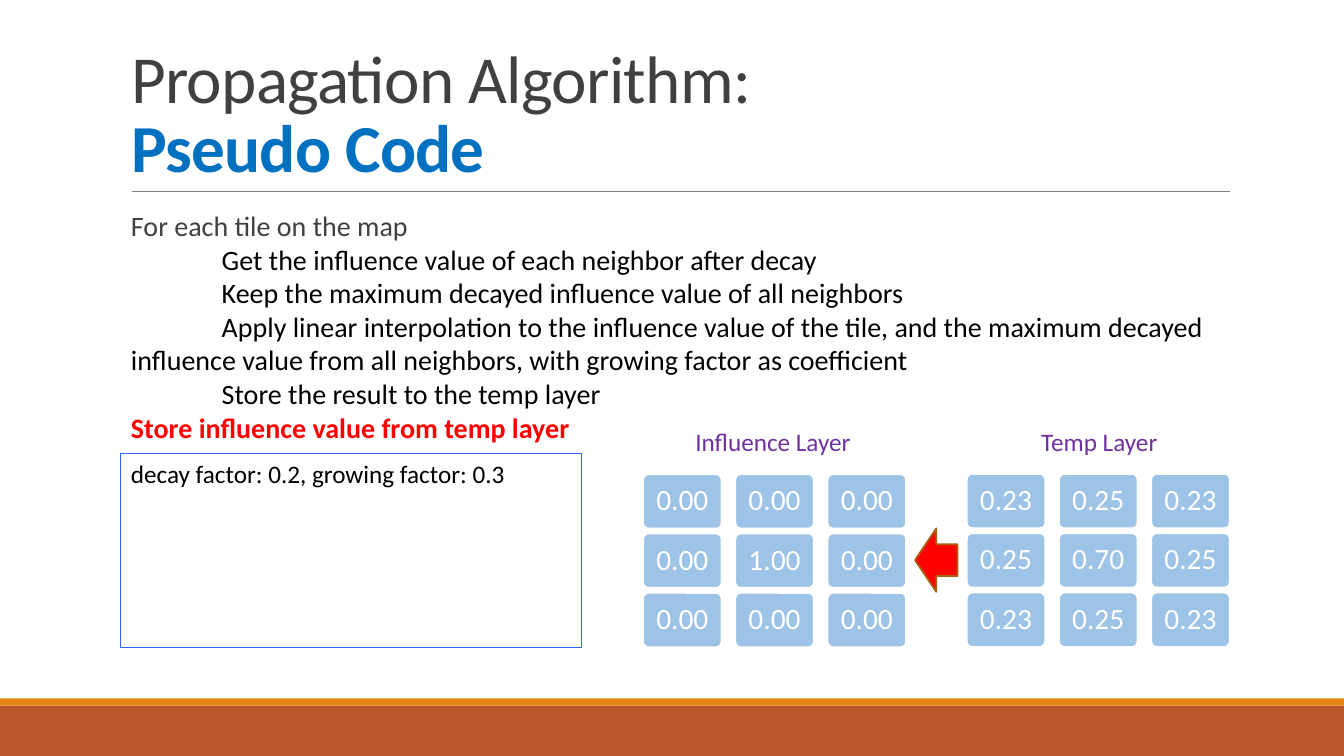
from lxml import etree
from pptx import Presentation
from pptx.dml import color
from pptx.enum import shapes, text
from pptx.oxml import ns
from pptx.util import Pt

RGBColor = color.RGBColor
GRAY = RGBColor(0x40, 0x40, 0x40)
RULE_GRAY = RGBColor(0x80, 0x80, 0x80)
BLACK = RGBColor(0x00, 0x00, 0x00)
WHITE = RGBColor(0xFF, 0xFF, 0xFF)
BLUE = RGBColor(0x00, 0x70, 0xC0)
FRAME_BLUE = RGBColor(0x33, 0x66, 0xFF)
TILE_BLUE = RGBColor(0x9D, 0xC3, 0xE6)
PURPLE = RGBColor(0x70, 0x30, 0xA0)
RED = RGBColor(0xFF, 0x00, 0x00)
BROWN = RGBColor(0xA9, 0x61, 0x0D)
ORANGE = RGBColor(0xE4, 0x83, 0x12)
RUST = RGBColor(0xBD, 0x58, 0x2C)

STEPS = [
    ("For each tile on the map", 0, GRAY, False),
    ("Get the influence value of each neighbor after decay", 64.8, BLACK, False),
    ("Keep the maximum decayed influence value of all neighbors", 64.8, BLACK, False),
    ("Apply linear interpolation to the influence value of the tile, and the maximum decayed "
     "influence value from all neighbors, with growing factor as coefficient", 64.8, BLACK, False),
    ("Store the result to the temp layer", 64.8, BLACK, False),
    ("Store influence value from temp layer", 0, RED, True),
]
INFLUENCE = [["0.00", "0.00", "0.00"], ["0.00", "1.00", "0.00"], ["0.00", "0.00", "0.00"]]
TEMP = [["0.23", "0.25", "0.23"], ["0.25", "0.70", "0.25"], ["0.23", "0.25", "0.23"]]


def write(paragraph, words, size=18, ink=BLACK, bold=False, align=text.PP_ALIGN.LEFT,
          leading=None, tracking=None):
    paragraph.alignment = align
    if leading:
        paragraph.line_spacing = leading
    run = paragraph.add_run()
    run.text = words
    run.font.name = "Calibri"
    run.font.size = Pt(size)
    run.font.bold = bold
    run.font.color.rgb = ink
    if tracking is not None:
        run.font._element.set("spc", str(tracking))


def add_block(slide, kind, left, top, width, height, fill=None, line=None, weight=1.25):
    block = slide.shapes.add_shape(kind, Pt(left), Pt(top), Pt(width), Pt(height))
    block.shadow.inherit = False
    if fill is None:
        block.fill.background()
    else:
        block.fill.solid()
        block.fill.fore_color.rgb = fill
    if line is None:
        block.line.fill.background()
    else:
        block.line.color.rgb = line
        block.line.width = Pt(weight)
    return block


def add_footer(slide, left, top, width, height):
    stripe = 5.04
    rect = shapes.MSO_SHAPE.RECTANGLE
    add_block(slide, rect, left, top + stripe, width, height - stripe, fill=RUST)
    add_block(slide, rect, left, top, width, stripe, fill=ORANGE)


def add_heading(slide, left, top, width, height):
    heading = slide.shapes.title
    heading.left, heading.top = Pt(left), Pt(top)
    heading.width, heading.height = Pt(width), Pt(height)
    frame = heading.text_frame
    frame.auto_size = text.MSO_AUTO_SIZE.NONE
    frame.word_wrap = True
    frame.vertical_anchor = text.MSO_ANCHOR.BOTTOM
    line = frame.paragraphs[0]
    write(line, "Propagation Algorithm:", size=48, ink=GRAY, leading=0.85, tracking=-50)
    line.add_line_break()
    write(line, "Pseudo Code", size=48, ink=BLUE, bold=True, leading=0.85, tracking=-50)
    bottom = Pt(top + height)
    rule = slide.shapes.add_connector(shapes.MSO_CONNECTOR.STRAIGHT,
                                      Pt(left + 8), bottom, Pt(left + width), bottom)
    rule.line.color.rgb = RULE_GRAY
    rule.line.width = Pt(0.5)
    etree.SubElement(rule._element.spPr, ns.qn("a:effectLst"))


def add_pseudo_code(slide, left, top, width, height):
    frame = slide.shapes.add_textbox(Pt(left), Pt(top), Pt(width), Pt(height)).text_frame
    frame.word_wrap = True
    frame.margin_left = frame.margin_right = 0
    for number, (words, indent, ink, bold) in enumerate(STEPS):
        step = frame.add_paragraph() if number else frame.paragraphs[0]
        properties = step._p.get_or_add_pPr()
        properties.set("marL", str(Pt(7.2)))
        properties.set("indent", str(Pt(indent)))
        write(step, words, size=20, ink=ink, bold=bold, leading=Pt(24))


def add_layer(slide, left, top, width, height, name, name_left, values):
    label = slide.shapes.add_textbox(Pt(left + name_left), Pt(top - 37.6), Pt(127.4), Pt(28.8))
    label.text_frame.word_wrap = True
    write(label.text_frame.paragraphs[0], name, ink=PURPLE)
    tile_width, tile_height = 56, 38.8
    column_step = (width - tile_width) / 2
    row_step = (height - tile_height) / 2
    for row, numbers in enumerate(values):
        for column, number in enumerate(numbers):
            tile = add_block(slide, shapes.MSO_SHAPE.ROUNDED_RECTANGLE,
                             left + column * column_step, top + row * row_step,
                             tile_width, tile_height, fill=TILE_BLUE, line=WHITE)
            tile.adjustments[0] = 0.1
            frame = tile.text_frame
            frame.margin_left = frame.margin_right = 0
            frame.margin_top = frame.margin_bottom = 0
            frame.vertical_anchor = text.MSO_ANCHOR.MIDDLE
            write(frame.paragraphs[0], number, size=21, ink=WHITE,
                  align=text.PP_ALIGN.CENTER, leading=0.9)


def add_factors(slide, left, top, width, height):
    factors = add_block(slide, shapes.MSO_SHAPE.RECTANGLE, left, top, width, height,
                        line=FRAME_BLUE, weight=0.75)
    factors.text_frame.word_wrap = True
    factors.text_frame.vertical_anchor = text.MSO_ANCHOR.TOP
    write(factors.text_frame.paragraphs[0], "decay factor: 0.2, growing factor: 0.3")


def main():
    deck = Presentation()
    deck.slide_width, deck.slide_height = Pt(960), Pt(540)
    slide = deck.slides.add_slide(deck.slide_layouts[5])
    add_footer(slide, 0, 498.96, 960, 41.04)
    add_heading(slide, 86.4, 22.3, 792, 114.2)
    add_pseudo_code(slide, 86.4, 145.4, 792, 316.8)
    add_layer(slide, 690.6, 338.5, 187.8, 123.6, "Temp Layer", 46, TEMP)
    add_layer(slide, 459.4, 338.7, 187.8, 123.6, "Influence Layer", 30.2, INFLUENCE)
    add_block(slide, shapes.MSO_SHAPE.LEFT_ARROW, 653.6, 377.4, 30.4, 45.4, fill=RED, line=BROWN)
    add_factors(slide, 86.4, 324, 329, 138.4)
    deck.save("out.pptx")


if __name__ == "__main__":
    main()
